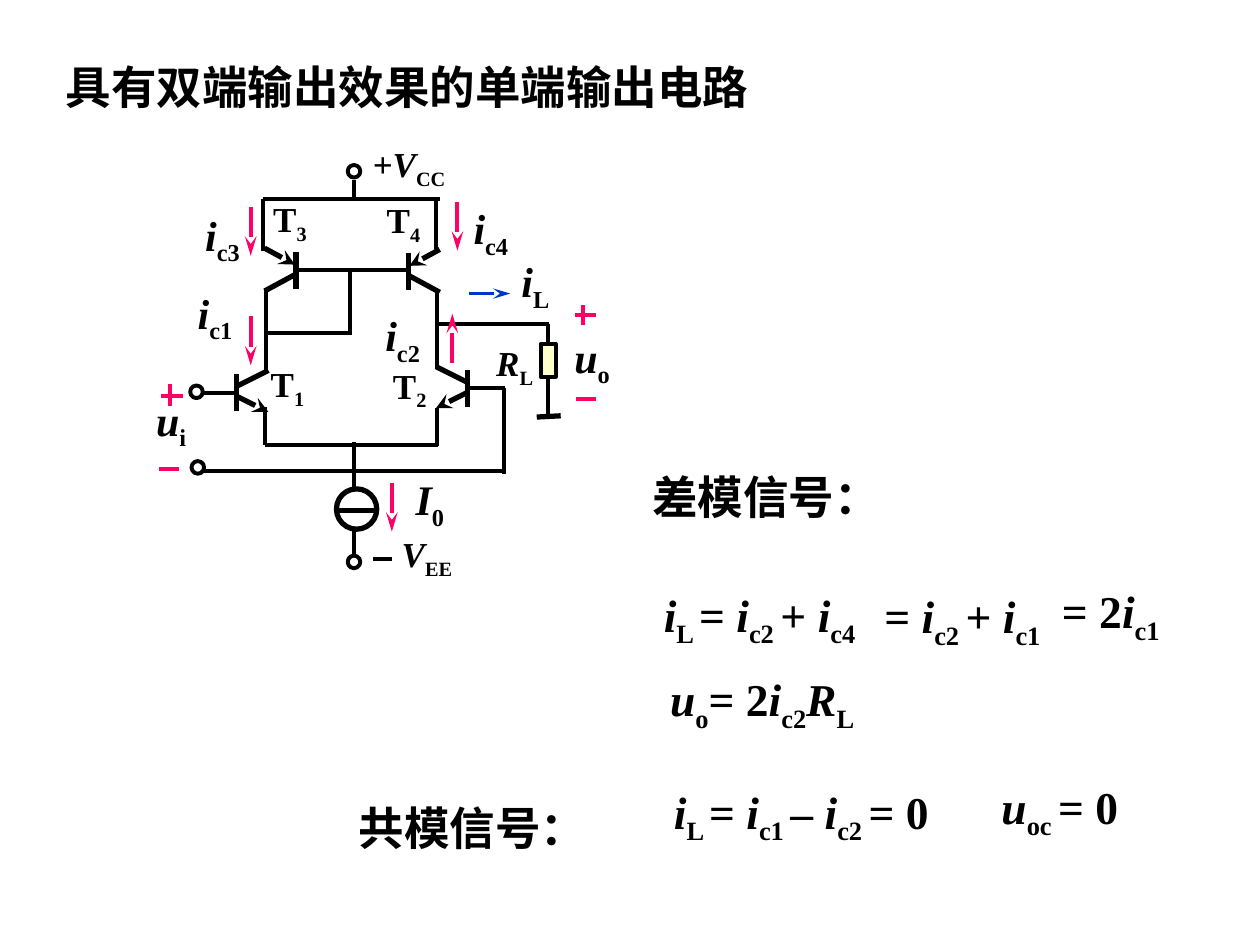
from lxml import etree
from pptx import Presentation
from pptx.dml.color import RGBColor
from pptx.enum.shapes import MSO_CONNECTOR, MSO_SHAPE
from pptx.enum.text import MSO_ANCHOR, MSO_AUTO_SIZE, PP_ALIGN
from pptx.oxml.ns import qn
from pptx.util import Inches, Pt

FONT = "Times New Roman"
BLACK, WHITE, PINK, BLUE, CREAM = "000000", "FFFFFF", "FF0066", "0033CC", "FFFFCC"
WIRE, THICK = 2.25, 3


def rgb(value):
    return RGBColor.from_string(value)


def format_run(r, size):
    r.font.name = FONT
    r.font.size = Pt(size)
    r.font.bold = True
    r.font.color.rgb = rgb(BLACK)


def label(shapes, x, y, w, h, markup, size=26):
    tb = shapes.add_textbox(Inches(x), Inches(y), Inches(w), Inches(h))
    tf = tb.text_frame
    tf.word_wrap = True
    p = tf.paragraphs[0]
    for part in markup.split("|"):
        r = p.add_run()
        r.text = part.lstrip("*_")
        format_run(r, size)
        r.font.italic = part.startswith("*")
        if part.startswith("_"):
            r.font._element.set("baseline", "-25000")


def line(shapes, x1, y1, x2, y2, width=WIRE, color=BLACK, arrow=None, length="med"):
    c = shapes.add_connector(MSO_CONNECTOR.STRAIGHT,
                             Inches(x1), Inches(y1), Inches(x2), Inches(y2))
    c.line.width = Pt(width)
    c.line.color.rgb = rgb(color)
    if arrow:
        etree.SubElement(c.line._get_or_add_ln(), qn(f"a:{arrow}"),
                         type="stealth", w="med", len=length)
    etree.SubElement(c._element.spPr, qn("a:effectLst"))


def solid(shapes, kind, x, y, w, h, fill=WHITE, width=WIRE):
    sp = shapes.add_shape(kind, Inches(x), Inches(y), Inches(w), Inches(h))
    sp.shadow.inherit = False
    sp.fill.solid()
    sp.fill.fore_color.rgb = rgb(fill)
    sp.line.color.rgb = rgb(BLACK)
    sp.line.width = Pt(width)


def title(s, x, y, w, h, text):
    sp = s.shapes.title
    sp.left, sp.top, sp.width, sp.height = Inches(x), Inches(y), Inches(w), Inches(h)
    tf = sp.text_frame
    tf.text = text
    tf.word_wrap = True
    tf.auto_size = MSO_AUTO_SIZE.NONE
    tf.vertical_anchor = MSO_ANCHOR.TOP
    p = tf.paragraphs[0]
    p.alignment = PP_ALIGN.LEFT
    format_run(p.runs[0], 26)


def transistor(shapes, x, y, side, pnp=False):
    top, bottom = (0.1, 0.31) if pnp else (0.09, 0.3)
    near, far = x + side * 0.01, x + side * 0.25
    line(shapes, x, y, x, y + 0.29, THICK)
    line(shapes, near, y + top, far, y - 0.03, THICK, arrow="headEnd" if pnp else None)
    line(shapes, near, y + 0.18, far, y + bottom, THICK, arrow=None if pnp else "tailEnd")


def circuit(s, x, y):
    shapes = s.shapes.add_group_shape().shapes

    wires = [
        (0.86, 2.12, 0.57, 2.12), (1.1, 2.23, 1.1, 2.53), (1.1, 2.53, 2.48, 2.53),
        (2.47, 2.24, 2.47, 2.54), (1.11, 1.94, 1.11, 1.29), (1.35, 1.14, 2.23, 1.14),
        (2.47, 1.92, 2.47, 1.29), (2.72, 2.08, 3.01, 2.08), (1.81, 2.51, 1.81, 3.51),
        (1.81, 0.43, 1.81, 0.59), (1.12, 1.64, 1.79, 1.64), (1.78, 1.13, 1.78, 1.66),
        (3, 2.08, 3, 2.76), (0.61, 2.74, 3.01, 2.74), (1.09, 0.99, 1.09, 0.58),
        (1.09, 0.58, 2.49, 0.58), (2.46, 0.98, 2.46, 0.58), (2.46, 1.57, 3.36, 1.57),
        (3.35, 2.32, 3.35, 1.57), (2.11, 3.44, 1.96, 3.44),
    ]
    signs = [
        (3.73, 2.17, 3.57, 2.17), (3.63, 1.58, 3.63, 1.42), (3.73, 1.5, 3.56, 1.5),
        (0.35, 2.22, 0.35, 2.05), (0.45, 2.14, 0.28, 2.14), (0.42, 2.72, 0.26, 2.72),
    ]
    for color, lines in ((BLACK, wires), (PINK, signs)):
        for x1, y1, x2, y2 in lines:
            line(shapes, x + x1, y + y1, x + x2, y + y2, color=color)

    for tx, ty, side, pnp in [(0.88, 1.97, 1, False), (2.71, 1.94, -1, False),
                              (1.35, 1, -1, True), (2.24, 1.01, 1, True)]:
        transistor(shapes, x + tx, y + ty, side, pnp)

    for cx, cy in [(0.51, 2.06), (1.76, 0.31), (0.52, 2.66), (1.76, 3.41)]:
        solid(shapes, MSO_SHAPE.OVAL, x + cx, y + cy, 0.1, 0.1)
    solid(shapes, MSO_SHAPE.OVAL, x + 1.67, y + 2.88, 0.32, 0.32, width=THICK)
    line(shapes, x + 1.68, y + 3.05, x + 2.01, y + 3.05, THICK)
    line(shapes, x + 2.11, y + 2.83, x + 2.11, y + 3.22, color=PINK,
         arrow="tailEnd", length="lg")
    solid(shapes, MSO_SHAPE.RECTANGLE, x + 3.29, y + 1.73, 0.12, 0.26, CREAM)
    line(shapes, x + 3.26, y + 2.31, x + 3.45, y + 2.3, THICK)

    for lx, ly, w, markup in [
        (1.05, 1.83, 0.85, "T|_1"), (2.02, 1.84, 0.85, "T|_2"),
        (1.07, 0.52, 0.85, "T|_3"), (1.97, 0.53, 0.85, "T|_4"),
        (2.09, 3.18, 0.63, "*V|_EE"), (2.84, 1.66, 0.56, "*R|_L"),
        (1.86, 0.08, 0.85, "*+V|_CC"),
    ]:
        label(shapes, x + lx, y + ly, w, 0.48, markup, 20)
    for lx, ly, markup in [(0.14, 2.08, "*u|_i"), (3.46, 1.58, "*u|_o"),
                           (2.2, 2.71, "*I|_0")]:
        label(shapes, x + lx, y + ly, 0.62, 0.56, markup, 24)


def currents(s, x, y):
    for ax, ay, dx, dy, lx, ly, name in [
        (0.99, 1.51, 0, 0.39, 0.47, 1.23, "c1"),
        (2.59, 1.88, 0, -0.39, 1.96, 1.41, "c2"),
        (0.99, 0.64, 0, 0.39, 0.53, 0.61, "c3"),
        (2.63, 0.6, 0, 0.39, 2.66, 0.56, "c4"),
        (2.72, 1.33, 0.33, 0, 3.04, 0.98, "L"),
    ]:
        load = name == "L"
        line(s.shapes, x + ax, y + ay, x + ax + dx, y + ay + dy,
             1.5 if load else WIRE, BLUE if load else PINK, "tailEnd", "lg")
        label(s.shapes, x + lx, y + ly, 0.62, 0.56, f"*i|_{name}", 24)


def differential_mode(s, x, y):
    label(s.shapes, x, y, 2.99, 0.54, "差模信号：")
    label(s.shapes, x + 0.09, y + 0.94, 2.33, 0.6, "*i|_L |= |*i|_c2 |+ |*i|_c4")
    label(s.shapes, x + 1.84, y + 0.95, 1.83, 0.6, "= |*i|_c2 |+ |*i|_c1")
    label(s.shapes, x + 3.25, y + 0.91, 1.17, 0.6, "= 2|*i|_c1")
    label(s.shapes, x + 0.14, y + 1.61, 3.25, 0.6, "*u|_o|= 2|*i|_c2|*R|_L")


def common_mode(s, x, y):
    label(s.shapes, x, y, 3.25, 0.54, "共模信号：")
    label(s.shapes, x + 2.5, y - 0.13, 2.77, 0.6, "*i|_L |= |*i|_c1 |– |*i|_c2 |= 0")
    label(s.shapes, x + 5.1, y - 0.17, 1.67, 0.6, "*u|_oc |= 0")


def main():
    prs = Presentation()
    prs.slide_width, prs.slide_height = Inches(10), Inches(7.5)
    s = prs.slides.add_slide(prs.slide_layouts[5])
    title(s, 0.42, 0.42, 6.5, 0.54, "具有双端输出效果的单端输出电路")
    differential_mode(s, 5.08, 3.67)
    common_mode(s, 2.75, 6.3)
    circuit(s, 1, 1)
    currents(s, 1, 1)
    prs.save("out.pptx")


if __name__ == "__main__":
    main()
